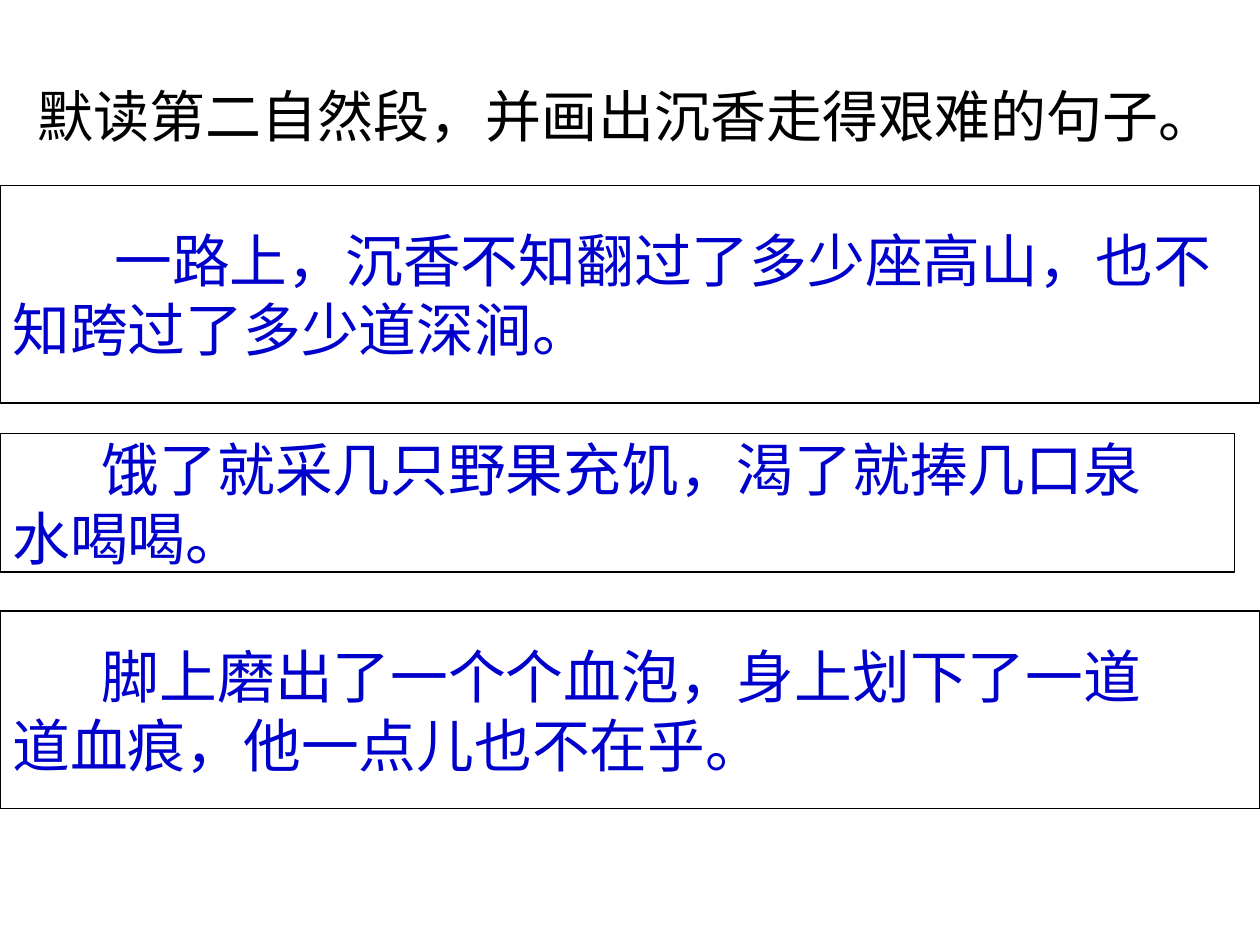
from dataclasses import dataclass

from pptx import Presentation
from pptx.dml.color import RGBColor as Color
from pptx.enum.shapes import MSO_SHAPE as Shape
from pptx.enum.text import MSO_ANCHOR as Anchor, MSO_AUTO_SIZE as Fit, PP_ALIGN as Align
from pptx.util import Inches, Pt


@dataclass(frozen=True)
class Theme:
    font: str = "Arial"
    black: str = "000000"
    blue: str = "0000CC"
    title: int = 32
    body: int = 33
    line: float = 0.75


class Deck:
    def __init__(self, theme):
        self.theme = theme
        self.prs = Presentation()
        self.prs.slide_width = Inches(10)
        self.prs.slide_height = Inches(7.5)
        self.slide = self.prs.slides.add_slide(self.prs.slide_layouts[5])

    def place(self, shape, left, top, width, height):
        shape.left, shape.top = Inches(left), Inches(top)
        shape.width, shape.height = Inches(width), Inches(height)

    def frame(self, shape, anchor):
        frame = shape.text_frame
        frame.word_wrap = True
        frame.auto_size = Fit.NONE
        frame.vertical_anchor = anchor
        frame.margin_left = frame.margin_right = Inches(0.1)
        frame.margin_top = frame.margin_bottom = Inches(0.05)
        return frame

    def add_text(self, para, text, size, color):
        para.alignment = Align.LEFT
        run = para.add_run()
        run.text = text
        run.font.name = self.theme.font
        run.font.size = Pt(size)
        run.font.color.rgb = Color.from_string(color)

    def title(self, text, box):
        shape = self.slide.shapes.title
        self.place(shape, *box)
        frame = self.frame(shape, Anchor.TOP)
        self.add_text(frame.paragraphs[0], text, self.theme.title, self.theme.black)

    def quote(self, lines, box, indent):
        shape = self.slide.shapes.add_shape(Shape.RECTANGLE, *map(Inches, box))
        shape.shadow.inherit = False
        shape.fill.background()
        shape.line.color.rgb = Color.from_string(self.theme.black)
        shape.line.width = Pt(self.theme.line)
        frame = self.frame(shape, Anchor.MIDDLE)
        for i, text in enumerate(lines):
            para = frame.add_paragraph() if i else frame.paragraphs[0]
            self.add_text(para, text, self.theme.body, self.theme.blue)
        first = frame.paragraphs[0]._p.get_or_add_pPr()
        first.set("marL", "0")
        first.set("indent", str(Inches(indent)))

    def save(self):
        self.prs.save("out.pptx")


def main():
    deck = Deck(Theme())
    deck.title("默读第二自然段，并画出沉香走得艰难的句子。", (0.2, 0.6, 9.61, 0.64))
    quotes = [
        (("一路上，沉香不知翻过了多少座高山，也不", "知跨过了多少道深涧。"),
         (0, 1.47, 10, 1.73), 0.81),
        (("饿了就采几只野果充饥，渴了就捧几口泉", "水喝喝。"),
         (0, 3.44, 9.8, 1.1), 0.71),
        (("脚上磨出了一个个血泡，身上划下了一道", "道血痕，他一点儿也不在乎。"),
         (0, 4.85, 10, 1.57), 0.71),
    ]
    for lines, box, indent in quotes:
        deck.quote(lines, box, indent)
    deck.save()


if __name__ == "__main__":
    main()
